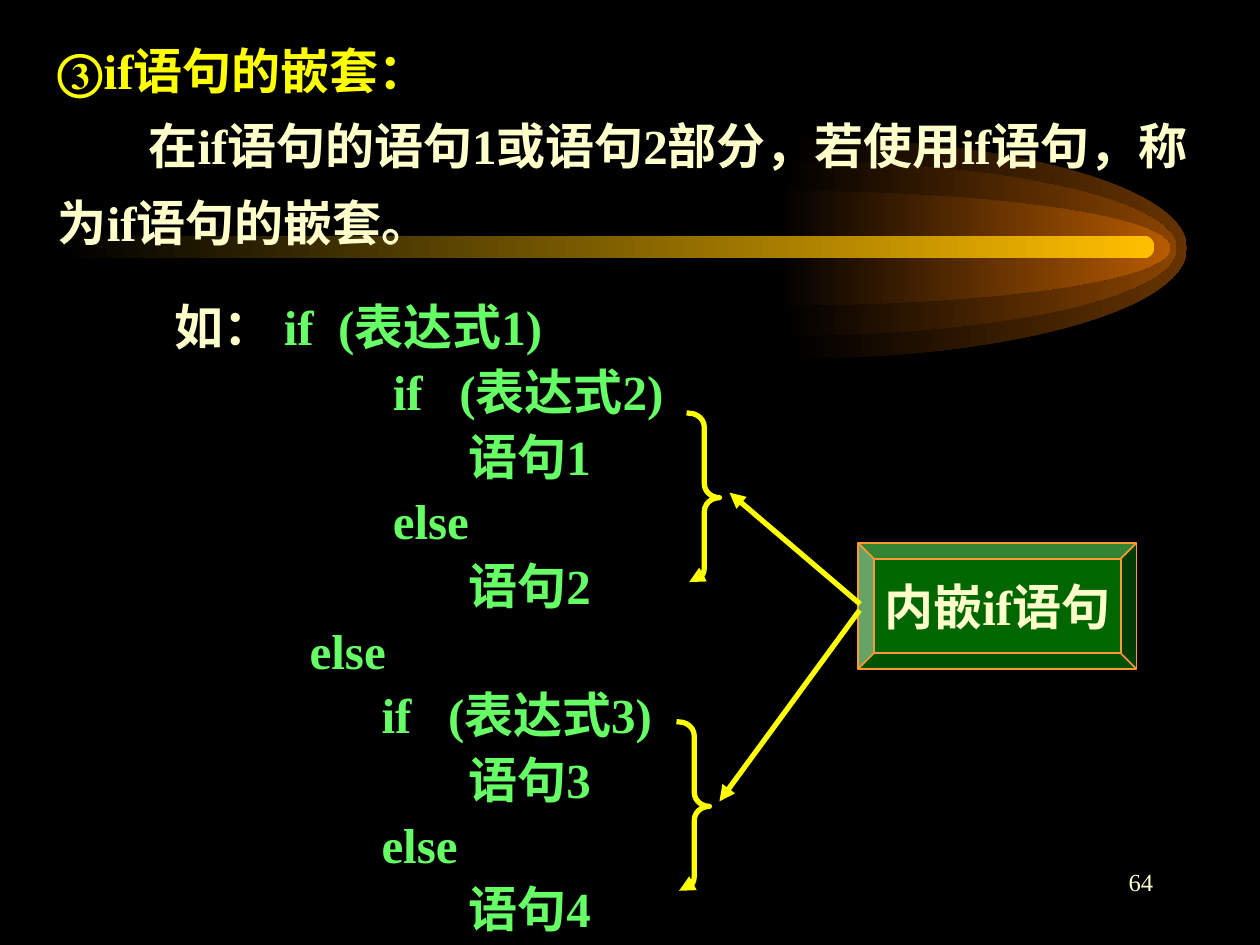
from lxml.etree import SubElement
from pptx import Presentation
from pptx.dml.color import RGBColor
from pptx.enum.shapes import MSO_CONNECTOR, MSO_SHAPE
from pptx.enum.text import MSO_ANCHOR, MSO_AUTO_SIZE, PP_ALIGN
from pptx.oxml.ns import qn
from pptx.util import Inches, Pt

COLORS = {"black": "000000", "yellow": "FFFF00", "cream": "FFFFCC",
          "code": "66FF66", "green": "006600", "orange": "FF9933",
          "gold": "FFBF00", "outer": "663300", "middle": "894400",
          "inner": "B75B00"}
FONT = "Times New Roman"

HEADING = "③if语句的嵌套："
EXPLANATION = "在if语句的语句1或语句2部分，若使用if语句，称为if语句的嵌套。"
LEAD = "如： "
# (left indent, code)
CODE = [
    (0.78, "if  (表达式1)"),
    (2.51, "if   (表达式2)"),
    (3.11, "语句1"),
    (2.51, "else"),
    (3.11, "语句2"),
    (1.85, "else"),
    (2.42, "if   (表达式3)"),
    (3.11, "语句3"),
    (2.42, "else"),
    (3.11, "语句4"),
]
LABEL = "内嵌if语句"
PAGE_NUMBER = "64"

COMET_AXIS = 1.97
COMET_WIDTH = 3.13
# (left, height, colour)
COMET_GLOWS = [(6.29, 1.75, "outer"), (6.21, 1.39, "middle"), (6.16, 0.91, "inner")]
BRACES = [(5.47, 3.28), (5.39, 5.73)]
ARROWS = [((6.81, 4.78), (5.79, 3.91)), ((6.81, 4.86), (5.71, 6.36))]


def rgb(color):
    return RGBColor.from_string(COLORS[color])


def inches(*values):
    return [Inches(value) for value in values]


def place(box, left, top, width, height):
    box.left, box.top, box.width, box.height = inches(left, top, width, height)


def write(paragraph, *spans, size=28, bold=True, spacing=1.0, left=0, first=0,
          align=PP_ALIGN.LEFT):
    """Fill a paragraph with (text, colour) spans; left and first are indents."""
    properties = paragraph._p.get_or_add_pPr()
    properties.set("marL", str(Inches(left)))
    properties.set("indent", str(Inches(first)))
    properties.set("hangingPunct", "0")
    SubElement(properties, qn("a:buNone"))
    paragraph.alignment = align
    paragraph.line_spacing = spacing
    paragraph.space_before = Pt(0)
    for text, color in spans:
        span = paragraph.add_run()
        span.text = text
        span.font.name = FONT
        span.font.size = Pt(size)
        span.font.bold = bold
        span.font.color.rgb = rgb(color)


def prepare(box, wrap=True, anchor=MSO_ANCHOR.TOP):
    frame = box.text_frame
    frame.word_wrap = wrap
    frame.auto_size = MSO_AUTO_SIZE.NONE
    frame.vertical_anchor = anchor
    return frame


def fade(shape, color):
    shape.shadow.inherit = False
    shape.line.fill.background()
    shape.fill.gradient()
    shape.fill.gradient_angle = 0
    for stop, name in zip(shape.fill.gradient_stops, ("black", color)):
        stop.color.rgb = rgb(name)


def bend(shape):
    """Turn every three line segments of a freeform into one Bezier curve."""
    segments = list(shape._element.iter(qn("a:lnTo")))
    for start in range(0, len(segments), 3):
        curve, *others = segments[start:start + 3]
        curve.tag = qn("a:cubicBezTo")
        for other in others:
            curve.append(other[0])
            other.getparent().remove(other)


def add_glow(page, left, height, color):
    """Right half of an ellipse centred on the comet's axis."""
    pull = 0.5523  # control-point distance for a quarter ellipse
    outline = [(0, -1), (pull, -1), (1, -pull), (1, 0),
               (1, pull), (pull, 1), (0, 1)]
    points = [inches(left + COMET_WIDTH * x, COMET_AXIS + height / 2 * y)
              for x, y in outline]
    builder = page.shapes.build_freeform(*points[0])
    builder.add_line_segments(points[1:], close=True)
    glow = builder.convert_to_shape()
    bend(glow)
    fade(glow, color)
    return glow


def add_comet(page):
    parts = [add_glow(page, *glow) for glow in COMET_GLOWS]
    bar = page.shapes.add_shape(MSO_SHAPE.ROUNDED_RECTANGLE,
                                *inches(0.5, COMET_AXIS - 0.1, 8.66, 0.18))
    bar.adjustments[0] = 0.5
    fade(bar, "gold")
    tree = page.shapes._spTree
    for index, part in enumerate(parts + [bar]):
        tree.insert(2 + index, part._element)  # behind the text


def point_with_arrow(stroke):
    stroke.line.color.rgb = rgb("yellow")
    stroke.line.width = Pt(3)
    properties = stroke._element.spPr
    outline = properties.find(qn("a:ln"))
    outline.set("cap", "sq")
    SubElement(outline, qn("a:tailEnd"), type="triangle")
    if properties.find(qn("a:effectLst")) is None:
        SubElement(properties, qn("a:effectLst"))


def add_text(page):
    title, body = page.placeholders
    place(title, 0.36, 0.13, 9.17, 0.7)
    write(prepare(title).paragraphs[0], (HEADING, "yellow"), spacing=1.3)
    place(body, 0.36, 0.73, 9.17, 1.32)
    write(prepare(body).paragraphs[0], (EXPLANATION, "cream"), spacing=1.3, first=0.72)

    number = page.shapes.add_textbox(*inches(7.17, 6.83, 2.08, 0.5))
    write(prepare(number).paragraphs[0], (PAGE_NUMBER, "cream"),
          size=14, bold=False, align=PP_ALIGN.RIGHT)

    listing = prepare(page.shapes.add_textbox(*inches(0.51, 2.26, 5.28, 5.24)))
    for index, (indent, code) in enumerate(CODE):
        paragraph = listing.add_paragraph() if index else listing.paragraphs[0]
        lead = [] if index else [(LEAD, "cream")]
        write(paragraph, *lead, (code, "code"), spacing=1.1, left=indent)


def add_label(page):
    label = page.shapes.add_shape(MSO_SHAPE.BEVEL, *inches(6.81, 4.31, 2.21, 1))
    label.adjustments[0] = 0.125
    label.shadow.inherit = False
    label.fill.solid()
    label.fill.fore_color.rgb = rgb("green")
    label.line.color.rgb = rgb("orange")
    label.line.width = Pt(1)
    frame = prepare(label, wrap=False, anchor=MSO_ANCHOR.MIDDLE)
    write(frame.paragraphs[0], (LABEL, "cream"), align=PP_ALIGN.CENTER)


def add_pointers(page):
    for left, top in BRACES:
        brace = page.shapes.add_shape(MSO_SHAPE.RIGHT_BRACE,
                                      *inches(left, top, 0.24, 1.34))
        brace.adjustments[0] = 0.46
        brace.shadow.inherit = False
        brace.fill.background()
        point_with_arrow(brace)
    for start, end in ARROWS:
        point_with_arrow(page.shapes.add_connector(
            MSO_CONNECTOR.STRAIGHT, *inches(*start, *end)))


def main():
    deck = Presentation()
    deck.slide_width, deck.slide_height = inches(10, 7.5)
    page = deck.slides.add_slide(deck.slide_layouts[1])
    page.background.fill.solid()
    page.background.fill.fore_color.rgb = rgb("black")
    add_comet(page)
    add_text(page)
    add_label(page)
    add_pointers(page)
    deck.save("out.pptx")


if __name__ == "__main__":
    main()
